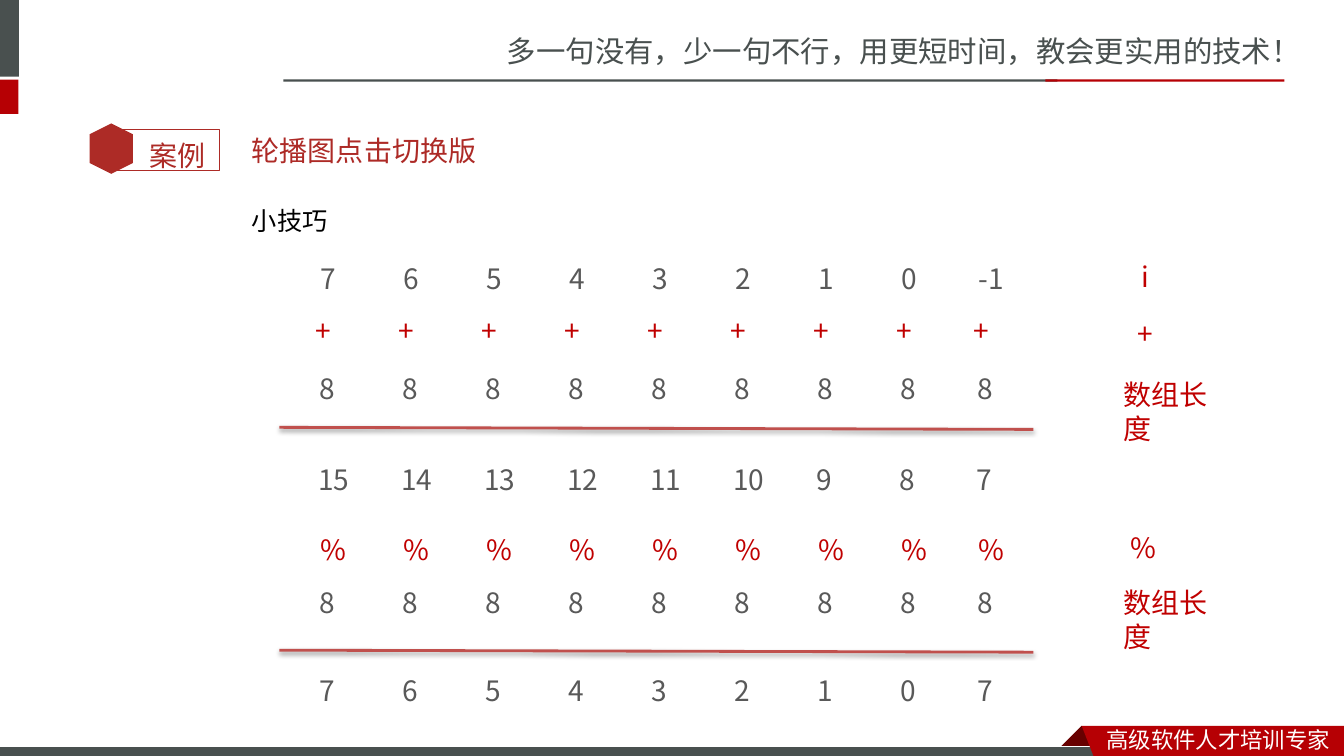
from dataclasses import dataclass

import lxml.etree
import pptx
import pptx.dml.color
import pptx.enum.shapes
import pptx.enum.text
import pptx.oxml.ns
import pptx.util

SHAPE = pptx.enum.shapes.MSO_SHAPE
ANCHOR = pptx.enum.text.MSO_ANCHOR
AUTO = pptx.enum.text.MSO_AUTO_SIZE
W, H = pptx.util.Inches(13.333), pptx.util.Inches(7.5)
GREY, RED, DARK_RED, WHITE = "49504F", "B60004", "680000", "FFFFFF"
BADGE, DIGIT, ACCENT, RULE = "AD2B26", "595959", "C00000", "C0504D"
SC, JP, ARIAL = "Noto Sans CJK SC", "Noto Sans CJK JP", "Arial"

# All positions are percentages of the slide's width and height.
ARRAY_LENGTH = 8
INDEXES = list(range(7, -2, -1))
COLUMNS = [23.03 + 6.18 * n for n in range(8)] + [72]
LINE_HEIGHT = 5.87


@dataclass
class Block:
    x: float
    y: float
    w: float
    h: float
    fill: str | None = None
    line: str | None = None
    weight: float = 1
    kind: int = SHAPE.RECTANGLE
    turn: float = 0


@dataclass
class Label:
    text: str
    x: float
    y: float
    w: float
    h: float
    size: float
    font: str
    colour: str
    wrap: bool = True
    spacing: float = 1
    anchor: int = ANCHOR.TOP


@dataclass
class Row:
    y: float
    values: list[str]
    colour: str = DIGIT
    dx: float = 0


def px(share: float) -> int:
    return round(W * share / 100)


def py(share: float) -> int:
    return round(H * share / 100)


def rgb(colour: str) -> pptx.dml.color.RGBColor:
    return pptx.dml.color.RGBColor.from_string(colour)


def paint(sp, fill: str | None, line: str | None = None, weight: float = 1) -> None:
    sp.shadow.inherit = False
    if fill:
        sp.fill.solid()
        sp.fill.fore_color.rgb = rgb(fill)
    else:
        sp.fill.background()
    if line:
        sp.line.color.rgb = rgb(line)
        sp.line.width = pptx.util.Pt(weight)
    else:
        sp.line.fill.background()


def add_block(s, b: Block) -> None:
    sp = s.shapes.add_shape(b.kind, px(b.x), py(b.y), px(b.w), py(b.h))
    sp.rotation = b.turn
    paint(sp, b.fill, b.line, b.weight)


def add_outline(s, points: list[tuple[float, float]], fill: str) -> None:
    corners = [(px(x), py(y)) for x, y in points]
    builder = s.shapes.build_freeform(*corners[0])
    builder.add_line_segments(corners[1:], close=True)
    paint(builder.convert_to_shape(), fill)


def add_label(s, t: Label) -> None:
    tf = s.shapes.add_textbox(px(t.x), py(t.y), px(t.w), py(t.h)).text_frame
    tf.text = t.text
    tf.word_wrap = t.wrap
    tf.auto_size = AUTO.NONE if t.anchor == ANCHOR.MIDDLE else AUTO.SHAPE_TO_FIT_TEXT
    tf.vertical_anchor = t.anchor
    p = tf.paragraphs[0]
    p.line_spacing = t.spacing
    r = p.runs[0]
    r.font.size = pptx.util.Pt(t.size)
    r.font.name = t.font
    r.font.color.rgb = rgb(t.colour)
    ea = lxml.etree.SubElement(r.font._element, pptx.oxml.ns.qn("a:ea"))
    ea.set("typeface", t.font)


def add_row(s, row: Row) -> None:
    for x, value in zip(COLUMNS, row.values):
        w = 3.23 if value == "%" else 2.7 + 1.2 * (len(value) - 1)
        add_label(s, Label(value, x + row.dx, row.y, w, LINE_HEIGHT, 20, JP,
                           row.colour, wrap=False))


def add_sum_line(s, y: float) -> None:
    """Draw the slightly sloping, shadowed line under a column sum."""
    c = s.shapes.add_connector(pptx.enum.shapes.MSO_CONNECTOR.STRAIGHT,
                               px(20.78), py(y), px(76.88), py(y + 0.27))
    c.line.color.rgb = rgb(RULE)
    c.line.width = pptx.util.Pt(2)
    c._element.spPr.append(pptx.oxml.parse_xml(
        f'<a:effectLst {pptx.oxml.ns.nsdecls("a")}>'
        '<a:outerShdw blurRad="40000" dist="20000" dir="5400000" rotWithShape="0">'
        '<a:srgbClr val="000000"><a:alpha val="38000"/></a:srgbClr>'
        '</a:outerShdw></a:effectLst>'))


FRAME = [
    Block(-0.45, 0, 1.85, 10.13, GREY),
    Block(-0.45, 10.53, 1.83, 4.53, RED),
    Block(21.08, 10.5, 57.6, 0.3, GREY),
    Block(77.78, 10.5, 17.78, 0.3, RED),
]
FOOTER = Block(-0.08, 98.8, 82.5, 1.6, GREY, WHITE, 0.75)
FOLD = [(80.48, 96), (82.13, 98.93), (82.05, 99.07), (78.9, 99.07), (78.83, 98.93)]
RIBBON = [(80.48, 96), (100, 96), (100, 100.5), (81.45, 100.4)]
CASE_BADGE = [
    Block(8.18, 17.1, 8.18, 5.47, None, BADGE),
    Block(6.4, 16.8, 3.75, 5.73, BADGE, kind=SHAPE.HEXAGON, turn=90),
]
LABELS = [
    Label("多一句没有，少一句不行，用更短时间，教会更实用的技术！",
          36.98, 3.73, 63.08, 6.27, 21, SC, GREY),
    Label("高级软件人才培训专家", 81.6, 95.33, 18.4, 4.93, 16, SC, WHITE),
    Label("案例", 10.35, 15.47, 6.38, 7.47, 20, ARIAL, BADGE, spacing=1.5),
    Label("轮播图点击切换版", 18, 16.13, 75.6, 7.6, 20, JP, "AD2A26",
          anchor=ANCHOR.MIDDLE),
    Label("小技巧", 18, 24.53, 76.88, 6.8, 18, ARIAL, "000000", spacing=1.5),
]
FORMULA = [
    Label("i", 84.23, 33.73, 2.1, LINE_HEIGHT, 20, JP, ACCENT, wrap=False),
    Label("+", 83.93, 41.2, 2.7, LINE_HEIGHT, 20, JP, ACCENT, wrap=False),
    Label("数组长度", 82.88, 49.33, 9.75, LINE_HEIGHT, 20, JP, ACCENT),
    Label("%", 83.4, 69.47, 3.23, LINE_HEIGHT, 20, JP, ACCENT, wrap=False),
    Label("数组长度", 82.88, 76.8, 9.75, LINE_HEIGHT, 20, JP, ACCENT),
]
LENGTHS = [str(ARRAY_LENGTH)] * len(INDEXES)
ROWS = [
    Row(34, [str(i) for i in INDEXES], dx=0.07),
    Row(40.8, ["+"] * len(INDEXES), ACCENT, dx=-0.3),
    Row(48.53, LENGTHS),
    Row(60.53, [str(i + ARRAY_LENGTH) for i in INDEXES], dx=-0.1),
    Row(69.73, ["%"] * len(INDEXES), ACCENT, dx=0.07),
    Row(76.8, LENGTHS),
    Row(88.4, [str((i + ARRAY_LENGTH) % ARRAY_LENGTH) for i in INDEXES]),
]


def main() -> None:
    prs = pptx.Presentation()
    prs.slide_width, prs.slide_height = W, H
    s = prs.slides.add_slide(prs.slide_layouts[6])
    for block in FRAME:
        add_block(s, block)
    add_outline(s, FOLD, DARK_RED)
    add_block(s, FOOTER)
    add_outline(s, RIBBON, RED)
    for block in CASE_BADGE:
        add_block(s, block)
    for label in LABELS + FORMULA:
        add_label(s, label)
    for row in ROWS:
        add_row(s, row)
    for y in (56.53, 86):
        add_sum_line(s, y)
    prs.save("out.pptx")


if __name__ == "__main__":
    main()
